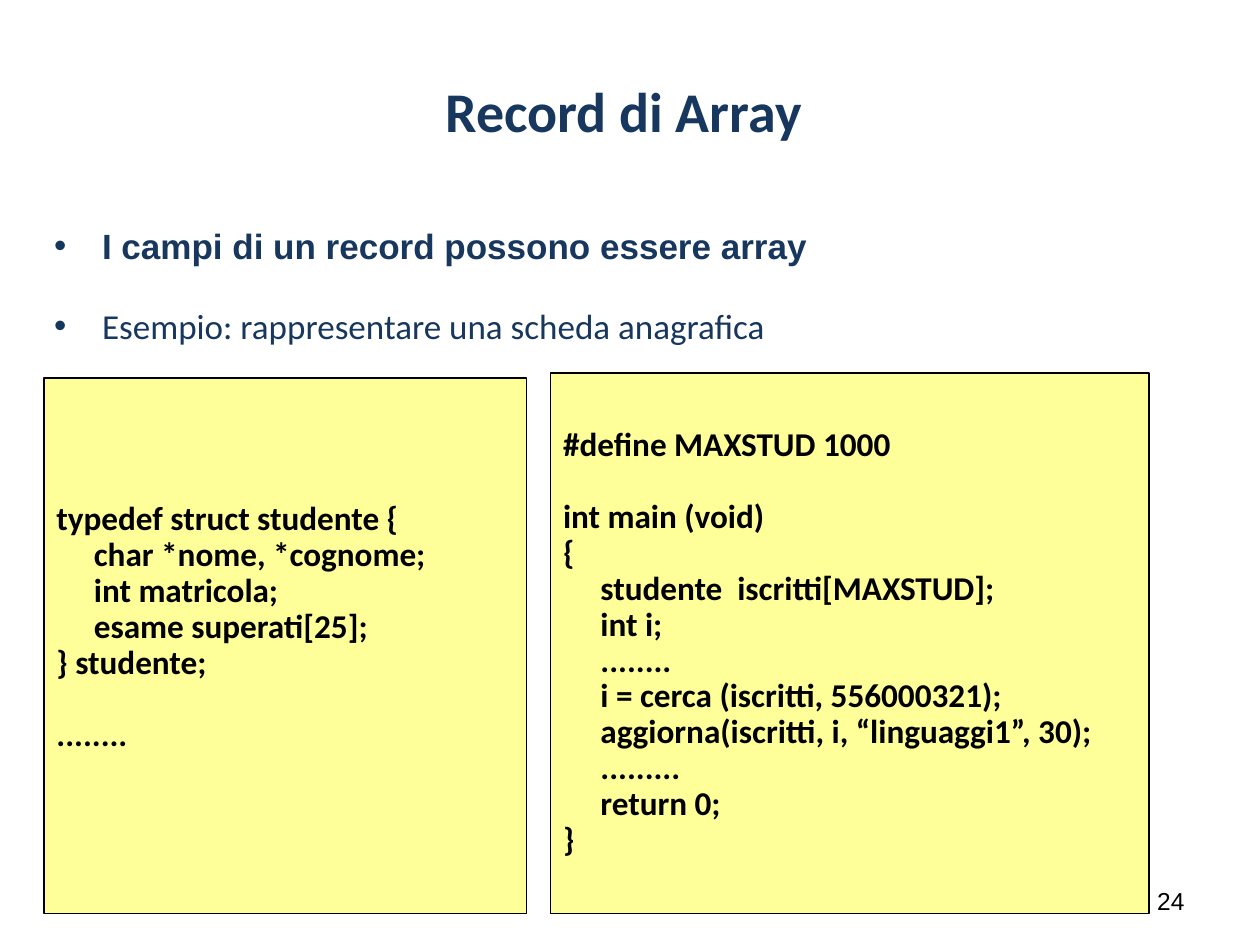
from dataclasses import dataclass

from pptx import Presentation
from pptx.dml.color import RGBColor
from pptx.enum.shapes import MSO_SHAPE
from pptx.enum.text import MSO_ANCHOR, MSO_AUTO_SIZE, PP_ALIGN
from pptx.util import Inches, Pt

PROCESS = MSO_SHAPE.FLOWCHART_PROCESS
TOP, MIDDLE = MSO_ANCHOR.TOP, MSO_ANCHOR.MIDDLE
LEFT, CENTER, RIGHT, JUSTIFY = PP_ALIGN.LEFT, PP_ALIGN.CENTER, PP_ALIGN.RIGHT, PP_ALIGN.JUSTIFY
NO_FIT = MSO_AUTO_SIZE.NONE


@dataclass(frozen=True)
class Theme:
    navy: RGBColor = RGBColor(0x17, 0x37, 0x5E)
    black: RGBColor = RGBColor(0, 0, 0)
    yellow: RGBColor = RGBColor(0xFF, 0xFF, 0x99)
    heading_font: str = "Calibri"
    plain_font: str = "Arial"
    title_size: int = 32
    body_size: int = 20
    code_size: int = 19
    number_size: int = 14
    code_line: float = 20.6


THEME = Theme()

STRUCT_CODE = """typedef struct studente {
     char *nome, *cognome;
     int matricola;
     esame superati[25];
} studente;

........"""

MAIN_CODE = """#define MAXSTUD 1000

int main (void)
{
     studente  iscritti[MAXSTUD];
     int i;
     ........
     i = cerca (iscritti, 556000321);
     aggiorna(iscritti, i, “linguaggi1”, 30);
     .........
     return 0;
}"""


def apply(target, values):
    for name, value in values.items():
        setattr(target, name, value)


def place(shape, left, top, width, height):
    apply(shape, {"left": Inches(left), "top": Inches(top),
                  "width": Inches(width), "height": Inches(height)})


def set_frame(frame, anchor, **margins):
    apply(frame, {"word_wrap": True, "auto_size": NO_FIT, "vertical_anchor": anchor,
                  "margin_left": Inches(0.1), "margin_right": Inches(0.1),
                  "margin_top": Inches(0.05), "margin_bottom": Inches(0.05), **margins})


def write_line(frame, index, text, font, size, color, bold=False, **layout):
    paragraph = frame.paragraphs[0] if index == 0 else frame.add_paragraph()
    run = paragraph.add_run()
    run.text = text
    apply(run.font, {"name": font, "size": Pt(size), "bold": bold})
    run.font.color.rgb = color
    apply(paragraph, {"space_before": Pt(0), **layout})
    return paragraph


def fill_title(title, text):
    place(title, 0.5, 0.5, 9, 0.75)
    set_frame(title.text_frame, MIDDLE, margin_right=Inches(0.2))
    write_line(title.text_frame, 0, text, THEME.heading_font, THEME.title_size,
               THEME.navy, bold=True, alignment=CENTER)


def fill_points(body, points):
    place(body, 0.33, 1.5, 9.33, 1.5)
    set_frame(body.text_frame, TOP)
    for index, (text, font, bold) in enumerate(points):
        point = write_line(body.text_frame, index, text, font, THEME.body_size, THEME.navy,
                           bold=bold, alignment=LEFT, line_spacing=1.7,
                           space_before=Pt(5 if index else 0))
        properties = point._p.get_or_add_pPr()
        properties.set("marL", str(Inches(0.38)))
        properties.set("indent", str(Inches(-0.38)))


def add_code(slide, bounds, code, **margins):
    panel = slide.shapes.add_shape(PROCESS, *map(Inches, bounds))
    panel.shadow.inherit = False
    panel.fill.solid()
    panel.fill.fore_color.rgb = THEME.yellow
    panel.line.color.rgb = THEME.black
    panel.line.width = Pt(0.75)
    set_frame(panel.text_frame, MIDDLE, **margins)
    index = 0
    for block_number, block in enumerate(code.split("\n\n")):
        for line_number, line in enumerate(block.split("\n")):
            gap = THEME.code_line if block_number and line_number == 0 else 0
            write_line(panel.text_frame, index, line, THEME.heading_font, THEME.code_size,
                       THEME.black, bold=True, alignment=JUSTIFY, line_spacing=0.9,
                       space_before=Pt(gap))
            index += 1


def add_page_number(slide, number):
    box = slide.shapes.add_textbox(*map(Inches, (7.17, 6.95, 2.33, 0.4)))
    set_frame(box.text_frame, MIDDLE)
    write_line(box.text_frame, 0, number, THEME.plain_font, THEME.number_size,
               THEME.black, alignment=RIGHT)


def main():
    deck = Presentation()
    apply(deck, {"slide_width": Inches(10), "slide_height": Inches(7.5)})
    slide = deck.slides.add_slide(deck.slide_layouts[1])
    add_page_number(slide, "24")
    fill_title(slide.shapes.title, "Record di Array")
    fill_points(slide.placeholders[1], [
        ("I campi di un record possono essere array", THEME.plain_font, True),
        ("Esempio: rappresentare una scheda anagrafica", THEME.heading_font, False),
    ])
    add_code(slide, (0.35, 3, 3.83, 4.25), STRUCT_CODE, margin_bottom=Inches(0.34))
    add_code(slide, (4.37, 2.96, 4.75, 4.29), MAIN_CODE)
    deck.save("out.pptx")


if __name__ == "__main__":
    main()
